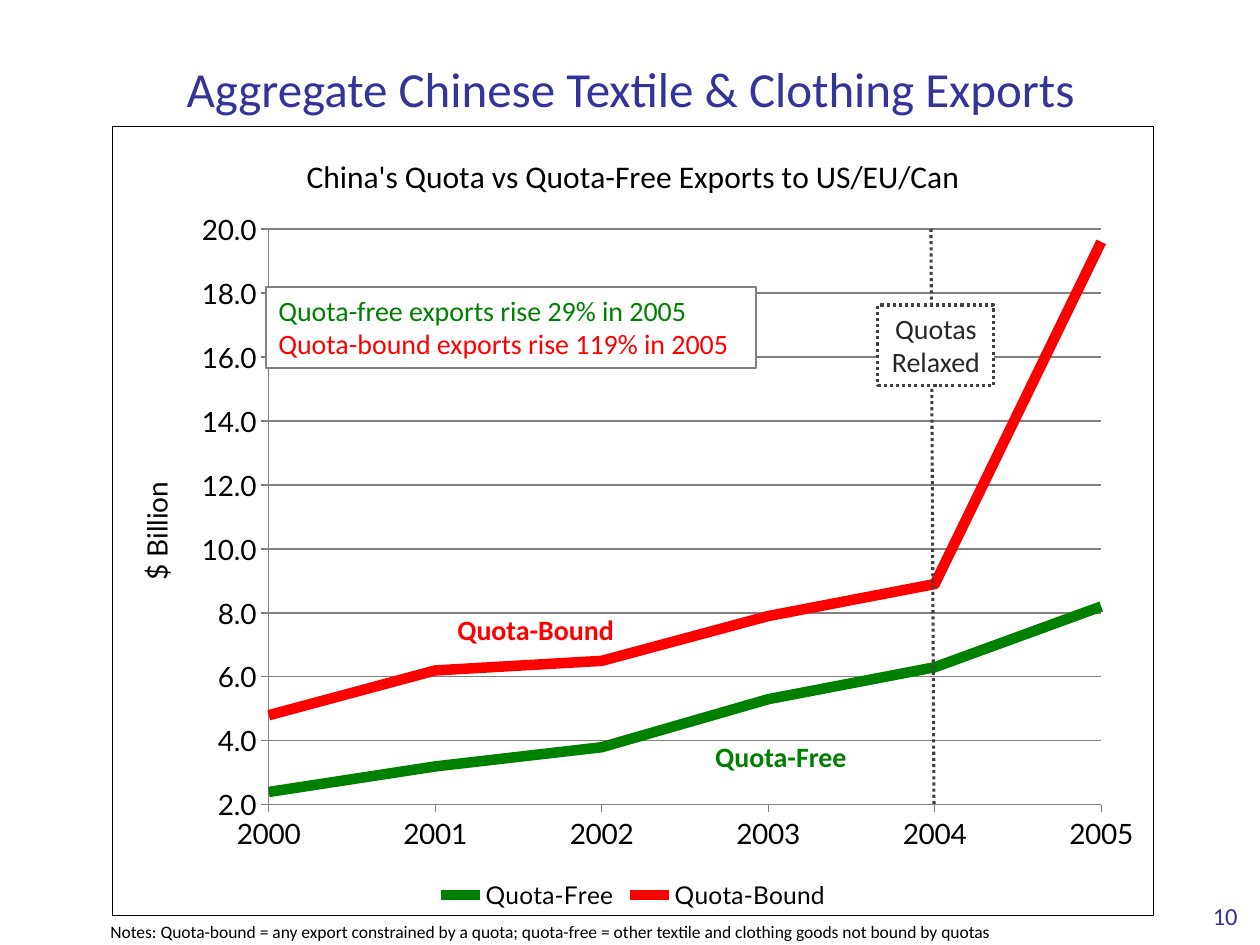
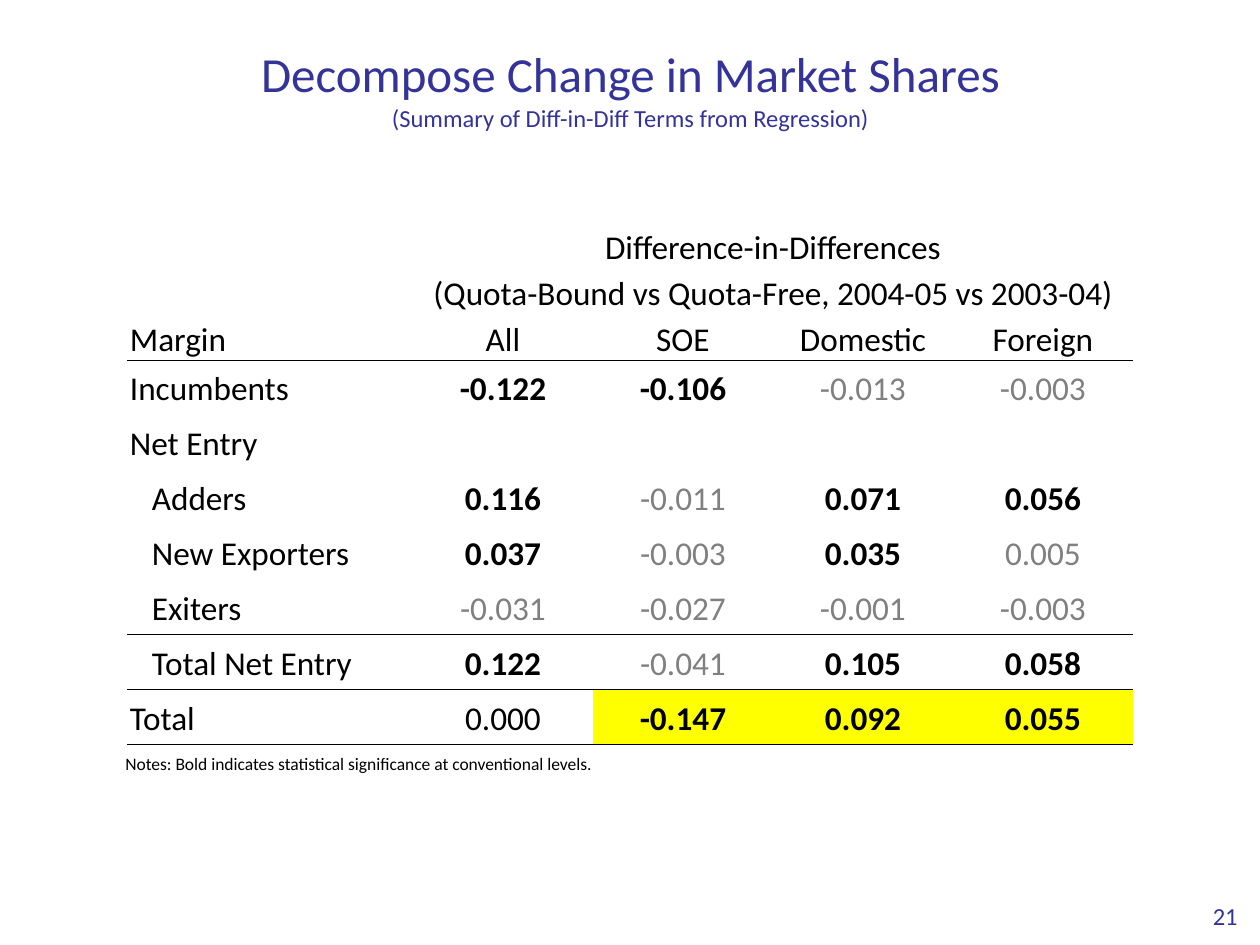
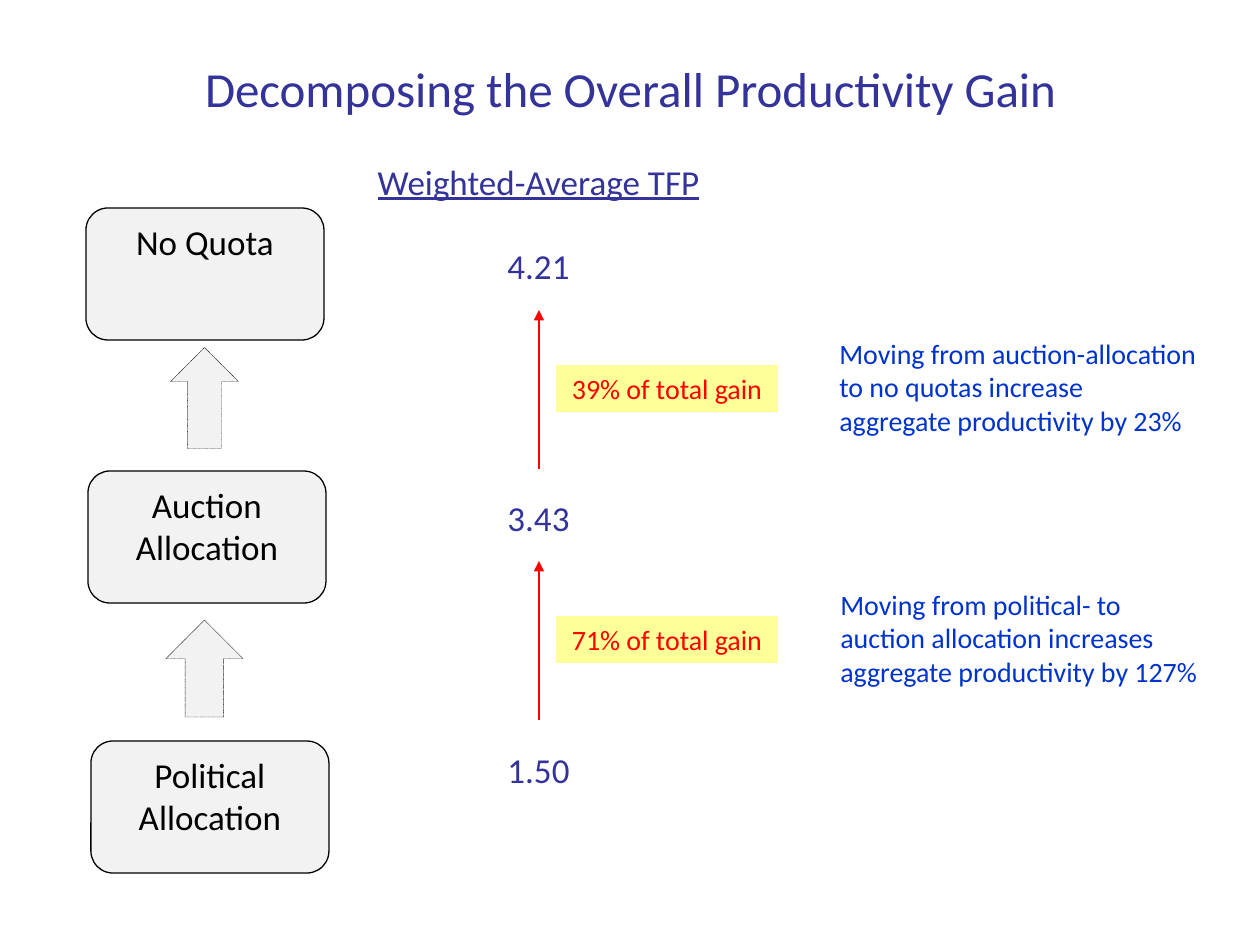
from lxml import etree
from pptx import Presentation
from pptx.chart.data import CategoryChartData
from pptx.dml.color import RGBColor
from pptx.enum.chart import XL_CHART_TYPE as ChartType
from pptx.enum.chart import XL_LEGEND_POSITION as LegendPosition
from pptx.enum.chart import XL_TICK_MARK as TickMark
from pptx.enum.dml import MSO_LINE as Dash
from pptx.enum.shapes import MSO_CONNECTOR as Connector
from pptx.enum.shapes import MSO_SHAPE as Preset
from pptx.enum.text import MSO_ANCHOR as Anchor
from pptx.enum.text import PP_ALIGN as Align
from pptx.oxml import parse_xml
from pptx.oxml.ns import nsdecls, qn
from pptx.util import Pt

EMU_PER_PX = 914400 / 126
FONT = "Calibri"
CHART_FONT = "Lato"
NO_TABLE_STYLE = "{2D5ABB26-0587-4C30-8999-92F81FD0307C}"
COLORS = {
    "title": "333399", "text": "000000", "remark": "0033CC",
    "free": "008000", "bound": "FF0000", "gain": "FF0000",
    "muted": "808080", "relaxed": "262626", "cutoff": "404040",
    "white": "FFFFFF", "stage": "F2F2F2", "gain_fill": "FFFF99",
    "highlight": "FFFF00",
}


def px(length):
    return round(length * EMU_PER_PX)


def area(*lengths):
    return [px(length) for length in lengths]


def rgb(name):
    return RGBColor.from_string(COLORS[name])


def style_font(font, size, color="text", bold=False, name=FONT):
    font.name, font.size, font.bold = name, Pt(size), bold
    font.color.rgb = rgb(color)


def add_run(paragraph, text, size, color="text", bold=False):
    run = paragraph.add_run()
    run.text = text
    style_font(run.font, size, color, bold)
    return run


def style_line(line, color, width, dash=None):
    line.color.rgb = rgb(color)
    line.width = Pt(width)
    if dash:
        line.dash_style = dash


def write_lines(frame, lines, size, align=Align.LEFT, bold=False):
    """Fill a frame with one paragraph per (text, color) pair."""
    frame.word_wrap = True
    frame.vertical_anchor = Anchor.TOP
    for index, (text, color) in enumerate(lines):
        paragraph = frame.add_paragraph() if index else frame.paragraphs[0]
        paragraph.alignment = align
        add_run(paragraph, text, size, color, bold)
    return frame


def add_text(slide, bounds, lines, size, align=Align.LEFT, bold=False):
    frame = slide.shapes.add_textbox(*area(*bounds)).text_frame
    return write_lines(frame, lines, size, align, bold)


def add_panel(slide, preset, bounds, fill, border=None, lines=(), size=16,
              align=Align.CENTER):
    panel = slide.shapes.add_shape(preset, *area(*bounds))
    panel.shadow.inherit = False
    panel.fill.solid()
    panel.fill.fore_color.rgb = rgb(fill)
    if border:
        style_line(panel.line, *border)
    else:
        panel.line.fill.background()
    write_lines(panel.text_frame, lines, size, align)
    return panel


def add_line(slide, start, end, color, width, dash=None, arrow=False):
    line = slide.shapes.add_connector(Connector.STRAIGHT, *area(*start, *end))
    style_line(line.line, color, width, dash)
    properties = line._element.spPr
    if arrow:
        etree.SubElement(properties.find(qn("a:ln")), qn("a:headEnd"),
                         type="triangle")
    etree.SubElement(properties, qn("a:effectLst"))


def add_title(slide, title, subtitle=None):
    frame = add_text(slide, (49, 38, 1163, 100), [(title, "title")], 28, Align.CENTER)
    frame.vertical_anchor = Anchor.MIDDLE
    if subtitle:
        heading = frame.paragraphs[0]
        heading.add_line_break()
        add_run(heading, subtitle, 14, "title")


def add_page_number(slide, number):
    frame = add_text(slide, (1182, 864, 68, 66), [(number, "title")], 14, Align.RIGHT)
    frame.vertical_anchor = Anchor.BOTTOM
    frame.margin_bottom = 0


def add_note(slide, left, top, note):
    add_text(slide, (left, top, 970, 34), [(note, "text")], 10)


def frame_chart(chart):
    """Place the plot, start the lines on the axis and border the chart."""
    space = chart._chartSpace
    plot_area = space.find(".//" + qn("c:plotArea"))
    for layout in plot_area.findall(qn("c:layout")):
        plot_area.remove(layout)
    places = {"x": 0.15, "y": 0.13, "w": 0.8, "h": 0.73}
    settings = "".join(f'<c:{key} val="{share}"/>' for key, share in places.items())
    plot_area.insert(0, parse_xml(
        f'<c:layout {nsdecls("c")}><c:manualLayout><c:layoutTarget val="inner"/>'
        f'<c:xMode val="edge"/><c:yMode val="edge"/>{settings}'
        '</c:manualLayout></c:layout>'))

    value_axis = plot_area.find(qn("c:valAx"))
    for crossing in value_axis.findall(qn("c:crossBetween")):
        value_axis.remove(crossing)
    anchor = value_axis.find(qn("c:crosses"))
    if anchor is None:
        anchor = value_axis.find(qn("c:crossAx"))
    anchor.addnext(parse_xml(f'<c:crossBetween {nsdecls("c")} val="midCat"/>'))

    space.find(qn("c:chart")).addnext(parse_xml(
        f'<c:spPr {nsdecls("c", "a")}>'
        f'<a:solidFill><a:srgbClr val="{COLORS["white"]}"/></a:solidFill>'
        f'<a:ln w="9525"><a:solidFill><a:srgbClr val="{COLORS["text"]}"/>'
        '</a:solidFill></a:ln></c:spPr>'))


def add_export_chart(slide):
    exports = CategoryChartData(number_format="#,##0.0")
    exports.categories = ["2000", "2001", "2002", "2003", "2004", "2005"]
    exports.add_series("Quota-Free", (2.4, 3.2, 3.8, 5.3, 6.3, 8.2))
    exports.add_series("Quota-Bound", (4.8, 6.2, 6.5, 7.9, 8.9, 19.6))
    chart = slide.shapes.add_chart(
        ChartType.LINE, *area(112, 126, 1042, 790), exports).chart
    style_font(chart.font, 10, name=CHART_FONT)

    chart.has_title = True
    add_run(chart.chart_title.text_frame.paragraphs[0],
            "China's Quota vs Quota-Free Exports to US/EU/Can", 18)
    chart.has_legend = True
    chart.legend.position = LegendPosition.BOTTOM
    chart.legend.include_in_layout = False
    style_font(chart.legend.font, 14, name=CHART_FONT)

    years, billions = chart.category_axis, chart.value_axis
    for axis in (years, billions):
        axis.major_tick_mark = TickMark.OUTSIDE
        style_line(axis.format.line, "muted", 0.75)
        style_font(axis.tick_labels.font, 16, name=CHART_FONT)
    billions.minimum_scale, billions.maximum_scale = 2, 20
    billions.major_unit = 2
    billions.tick_labels.number_format = "#,##0.0"
    billions.tick_labels.number_format_is_linked = False
    style_line(billions.major_gridlines.format.line, "muted", 0.75)
    unit = add_run(billions.axis_title.text_frame.paragraphs[0], "$ Billion", 16)
    unit.font.name = CHART_FONT

    plot = chart.plots[0]
    plot.vary_by_categories = False
    for series, color in zip(plot.series, ("free", "bound")):
        series.smooth = False
        style_line(series.format.line, color, 6)
    frame_chart(chart)


def build_exports(slide):
    add_title(slide, "Aggregate Chinese Textile & Clothing Exports")
    add_page_number(slide, "10")
    add_note(slide, 98, 915, "Notes: Quota-bound = any export constrained by a quota; "
             "quota-free = other textile and clothing goods not bound by quotas")
    add_export_chart(slide)
    add_panel(slide, Preset.RECTANGLE, (266, 287, 490, 81), "white", ("muted", 0.75),
              [("Quota-free exports rise 29% in 2005", "free"),
               ("Quota-bound exports rise 119% in 2005", "bound")], align=Align.LEFT)
    add_line(slide, (934, 804), (931, 227), "cutoff", 1.75, Dash.ROUND_DOT)
    add_panel(slide, Preset.RECTANGLE, (878, 305, 116, 81), "white",
              ("cutoff", 1.75, Dash.ROUND_DOT),
              [("Quotas", "relaxed"), ("Relaxed", "relaxed")])
    add_text(slide, (445, 606, 200, 47), [("Quota-Bound", "bound")], 16, bold=True)
    add_text(slide, (659, 733, 200, 47), [("Quota-Free", "free")], 16,
             Align.RIGHT, bold=True)


def fill_cell(cell, text="", align=Align.CENTER, anchor=Anchor.MIDDLE, indent=0,
              color="text", bold=False, ruled=False, fill=None):
    cell.margin_left = px(3 + indent)
    cell.margin_right = cell.margin_top = px(3)
    cell.margin_bottom = 0
    cell.vertical_anchor = anchor
    if ruled:
        cell._tc.get_or_add_tcPr().append(parse_xml(
            f'<a:lnB {nsdecls("a")} w="6350"><a:solidFill>'
            f'<a:srgbClr val="{COLORS["text"]}"/></a:solidFill></a:lnB>'))
    if fill:
        cell.fill.solid()
        cell.fill.fore_color.rgb = rgb(fill)
    else:
        cell.fill.background()
    if text:
        paragraph = cell.text_frame.paragraphs[0]
        paragraph.alignment = align
        add_run(paragraph, text, 19, color, bold)


def add_margin_table(slide):
    headings = ["Difference-in-Differences",
                "(Quota-Bound vs Quota-Free, 2004-05 vs 2003-04)"]
    owners = ["Margin", "All", "SOE", "Domestic", "Foreign"]
    # Label, indent, values, columns that are significant, rule below
    margins = [
        ("Incumbents", 0, ["-0.122", "-0.106", "-0.013", "-0.003"], {1, 2}, False),
        ("Net Entry", 0, [""] * 4, set(), False),
        ("Adders", 22, ["0.116", "-0.011", "0.071", "0.056"], {1, 3, 4}, False),
        ("New Exporters", 22, ["0.037", "-0.003", "0.035", "0.005"], {1, 3}, False),
        ("Exiters", 22, ["-0.031", "-0.027", "-0.001", "-0.003"], set(), True),
        ("Total Net Entry", 22, ["0.122", "-0.041", "0.105", "0.058"], {1, 3, 4}, True),
        ("Total", 0, ["0.000", "-0.147", "0.092", "0.055"], {2, 3, 4}, True),
    ]
    widths = [286] + [180] * 4
    heights = [46] * 3 + [55] * len(margins)
    table = slide.shapes.add_table(
        len(heights), len(widths),
        *area(127, 222, sum(widths), sum(heights))).table
    table.first_row = table.horz_banding = False
    table._tbl.find(".//" + qn("a:tableStyleId")).text = NO_TABLE_STYLE
    for column, width in zip(table.columns, widths):
        column.width = px(width)
    for row, height in zip(table.rows, heights):
        row.height = px(height)

    for row, heading in enumerate(headings):
        table.cell(row, 1).merge(table.cell(row, 4))
        for column in range(len(widths)):
            fill_cell(table.cell(row, column), heading if column == 1 else "",
                      anchor=Anchor.BOTTOM)
    for column, owner in enumerate(owners):
        fill_cell(table.cell(2, column), owner, Align.CENTER if column else Align.LEFT,
                  Anchor.BOTTOM, ruled=True)
    for row, (label, indent, values, significant, ruled) in enumerate(margins, start=3):
        fill_cell(table.cell(row, 0), label, Align.LEFT, indent=indent, ruled=ruled)
        for column, value in enumerate(values, start=1):
            bold = column in significant
            fill_cell(table.cell(row, column), value, bold=bold, ruled=ruled,
                      color="text" if bold or label == "Total" else "muted",
                      fill="highlight" if bold and label == "Total" else None)


def build_decomposition(slide):
    add_title(slide, "Decompose Change in Market Shares",
              "(Summary of Diff-in-Diff Terms from Regression)")
    add_page_number(slide, "21")
    add_margin_table(slide)
    add_note(slide, 113, 747,
             "Notes: Bold indicates statistical significance at conventional levels.")


def add_productivity_column(slide):
    lines = ["Weighted-Average TFP", "4.21", "3.43", "1.50"]
    column = add_text(slide, (325, 154, 427, 692),
                      [(line, "title") for line in lines], 20, Align.CENTER)
    column.paragraphs[0].runs[0].font.underline = True
    for paragraph, gap in zip(column.paragraphs[1:], (24, 120, 120)):
        paragraph.space_before = Pt(gap)


def build_productivity(slide):
    add_title(slide, "Decomposing the Overall Productivity Gain")
    add_productivity_column(slide)
    stages = [("Political Allocation", 91, 741), ("Auction Allocation", 88, 471),
              ("No Quota", 86, 208)]
    for stage, left, top in stages:
        add_panel(slide, Preset.ROUNDED_RECTANGLE, (left, top, 238, 132), "stage",
                  ("text", 0.75), [(stage, "text")], 20)
    for bounds in ((154, 364, 101, 68), (156, 630, 97, 77)):
        step = add_panel(slide, Preset.RIGHT_ARROW, bounds, "stage",
                         ("text", 0.25, Dash.ROUND_DOT))
        step.rotation = 270
    gains = [
        (310, "39% of total gain", 827,
         "Moving from auction-allocation to no quotas increase "
         "aggregate productivity by 23%"),
        (561, "71% of total gain", 828,
         "Moving from political- to auction allocation increases "
         "aggregate productivity by 127%"),
    ]
    for top, share, remark_left, remark in gains:
        add_line(slide, (539, top), (539, top + 159), "gain", 1.25, arrow=True)
        add_panel(slide, Preset.RECTANGLE, (556, top + 55, 222, 47), "gain_fill",
                  lines=[(share, "gain")])
        add_text(slide, (remark_left, top + 20, 383, 115), [(remark, "remark")], 16)


def main():
    deck = Presentation()
    deck.slide_width, deck.slide_height = area(1260, 945)
    blank = deck.slide_layouts[6]
    for build in (build_exports, build_decomposition, build_productivity):
        build(deck.slides.add_slide(blank))
    deck.save("out.pptx")


if __name__ == "__main__":
    main()
